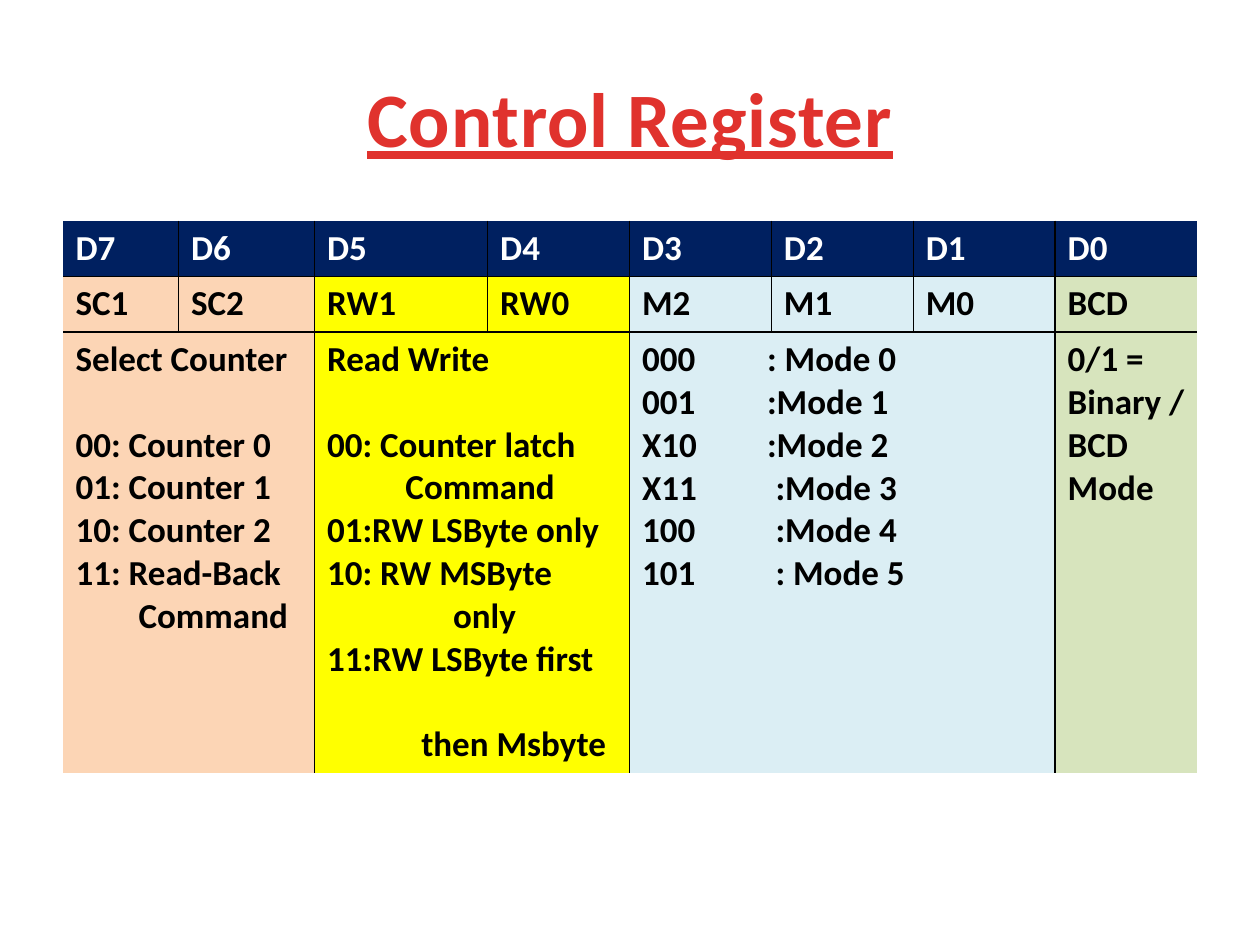
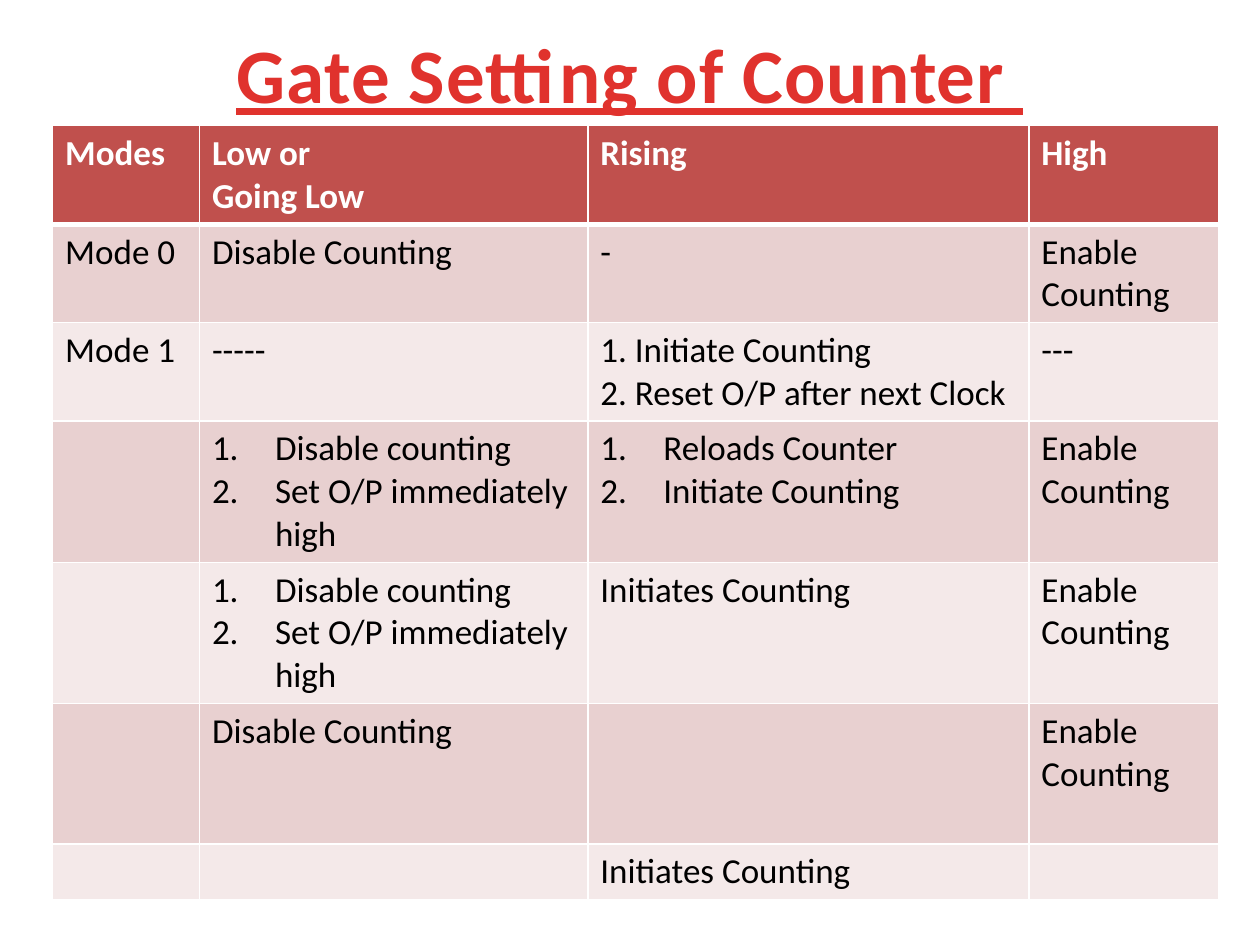
from dataclasses import dataclass
from lxml.etree import SubElement
from pptx import Presentation
from pptx.dml.color import RGBColor
from pptx.enum.text import MSO_ANCHOR, MSO_AUTO_SIZE, PP_ALIGN
from pptx.oxml.ns import qn
from pptx.util import Cm, Pt

FONT = "Calibri"
RED = RGBColor(0xE0, 0x32, 0x2D)
BLACK = RGBColor(0x00, 0x00, 0x00)
WHITE = RGBColor(0xFF, 0xFF, 0xFF)
NAVY = RGBColor(0x00, 0x20, 0x60)
PEACH = RGBColor(0xFC, 0xD5, 0xB5)
YELLOW = RGBColor(0xFF, 0xFF, 0x00)
SKY = RGBColor(0xDB, 0xEE, 0xF4)
SAGE = RGBColor(0xD7, 0xE4, 0xBD)
BRICK = RGBColor(0xC0, 0x50, 0x4D)
ROSE = RGBColor(0xE8, 0xD0, 0xD0)
BLUSH = RGBColor(0xF4, 0xE9, 0xE9)

TEXT_SIZE = Pt(20)
LINE_GAP = 24.4
LINE_HEIGHT = 0.86
CELL_PADDING = 0.25


@dataclass
class Line:
    text: str
    indent: float = 0
    before: float = 0
    after: float = 0
    tab: float = 0
    numbered: bool = False


def numbered(*texts):
    return [Line(text, indent=1.27, numbered=True) for text in texts]


BITS = ["D7", "D6", "D5", "D4", "D3", "D2", "D1", "D0"]
FIELDS = ["SC1", "SC2", "RW1", "RW0", "M2", "M1", "M0", "BCD"]
GROUPS = [
    (2, PEACH, [
        Line("Select Counter", after=LINE_GAP),
        "00: Counter 0", "01: Counter 1", "10: Counter 2", "11: Read-Back",
        Line("Command", indent=1.27),
    ]),
    (2, YELLOW, [
        Line("Read Write", after=LINE_GAP),
        "00: Counter latch", Line("Command", indent=1.58),
        "01:RW LSByte only", "10: RW MSByte", Line("only", indent=2.54),
        "11:RW LSByte first",
        Line("then Msbyte", indent=1.9, before=LINE_GAP),
    ]),
    (3, SKY, [
        Line("000\t: Mode 0", tab=2.52),
        Line("001\t:Mode 1", tab=2.52),
        Line("X10\t:Mode 2", tab=2.52),
        Line("X11\t:Mode 3", tab=2.69),
        Line("100\t:Mode 4", tab=2.69),
        Line("101\t: Mode 5", tab=2.69),
    ]),
    (1, SAGE, ["0/1 =", "Binary / BCD Mode"]),
]
REGISTER_WIDTHS = [2.33, 2.74, 3.49] + [2.86] * 5
REGISTER_LINES = [1, 1, 10]

ENABLE = ["Enable", "Counting"]
STOP_HIGH = numbered("Disable counting", "Set O/P immediately high")
GATE_ROWS = [
    [["Modes"], ["Low or", "Going Low"], ["Rising"], ["High"]],
    [["Mode 0"], ["Disable Counting"], ["-"], ENABLE],
    [["Mode 1"], ["-----"],
     ["1. Initiate Counting", "2. Reset O/P after next Clock"], ["---"]],
    [[], STOP_HIGH, numbered("Reloads Counter", "Initiate Counting"), ENABLE],
    [[], STOP_HIGH, ["Initiates Counting"], ENABLE],
    [[], ["Disable Counting"], [], ENABLE],
    [[], [], ["Initiates Counting"], []],
]
GATE_WIDTHS = [2.96, 7.83, 8.89, 3.81]
GATE_LINES = [2, 2, 2, 3, 3, 3, 1]


def style_span(span, size, color, bold):
    span.font.name = FONT
    span.font.size = size
    span.font.bold = bold
    span.font.color.rgb = color


def add_titled_page(deck, text, top, height):
    page = deck.slides.add_slide(deck.slide_layouts[5])
    title = page.shapes.title
    title.left, title.top, title.width, title.height = (
        Cm(1.27), Cm(top), Cm(22.86), Cm(height))
    frame = title.text_frame
    frame.auto_size = MSO_AUTO_SIZE.NONE
    frame.vertical_anchor = MSO_ANCHOR.MIDDLE
    para = frame.paragraphs[0]
    para.alignment = PP_ALIGN.CENTER
    span = para.add_run()
    span.text = text
    style_span(span, Pt(44), RED, True)
    span.font.underline = True
    span._r.get_or_add_rPr().set("spc", "50")
    return page


def add_table(page, left, top, widths, line_counts):
    heights = [LINE_HEIGHT * count + CELL_PADDING for count in line_counts]
    table = page.shapes.add_table(
        len(heights), len(widths), Cm(left), Cm(top),
        Cm(sum(widths)), Cm(sum(heights))).table
    for column, width in zip(table.columns, widths):
        column.width = Cm(width)
    for row, height in zip(table.rows, heights):
        row.height = Cm(height)
    return table


def set_inner_borders(table, color, header_width=1):
    last_row = len(table.rows) - 1
    last_column = len(table.columns) - 1
    for r in range(last_row + 1):
        for c in range(last_column + 1):
            properties = table.cell(r, c)._tc.get_or_add_tcPr()
            sides = [
                ("a:lnL", c > 0, 1),
                ("a:lnR", c < last_column, 1),
                ("a:lnT", r > 0, header_width if r == 1 else 1),
                ("a:lnB", r < last_row, header_width if r == 0 else 1),
            ]
            for tag, inner, width in sides:
                line = SubElement(properties, qn(tag), w=str(Pt(width)))
                if inner:
                    fill = SubElement(line, qn("a:solidFill"))
                    SubElement(fill, qn("a:srgbClr"), val=str(color))
                else:
                    SubElement(line, qn("a:noFill"))


def format_line(para, line):
    para.space_before = Pt(line.before)
    para.space_after = Pt(line.after)
    properties = para._p.get_or_add_pPr()
    if line.indent:
        properties.set("marL", str(Cm(line.indent)))
    if line.numbered:
        properties.set("indent", str(-Cm(line.indent)))
        SubElement(properties, qn("a:buAutoNum"), type="arabicPeriod")
    if line.tab:
        stops = SubElement(properties, qn("a:tabLst"))
        SubElement(stops, qn("a:tab"), pos=str(Cm(line.tab)), algn="l")


def fill_cell(cell, lines, fill, color=BLACK, bold=False):
    cell.fill.solid()
    cell.fill.fore_color.rgb = fill
    frame = cell.text_frame
    for index, item in enumerate(lines):
        line = item if isinstance(item, Line) else Line(item)
        para = frame.add_paragraph() if index else frame.paragraphs[0]
        format_line(para, line)
        span = para.add_run()
        span.text = line.text
        style_span(span, TEXT_SIZE, color, bold)


def build_control_register(deck):
    page = add_titled_page(deck, "Control Register", 0.76, 3.18)
    table = add_table(page, 1.27, 4.45, REGISTER_WIDTHS, REGISTER_LINES)
    set_inner_borders(table, BLACK)
    for c, bit in enumerate(BITS):
        fill_cell(table.cell(0, c), [bit], NAVY, WHITE, True)
    start = 0
    for count, fill, lines in GROUPS:
        end = start + count
        for c in range(start, end):
            fill_cell(table.cell(1, c), [FIELDS[c]], fill, bold=True)
        if count > 1:
            table.cell(2, start).merge(table.cell(2, end - 1))
        fill_cell(table.cell(2, start), lines, fill, bold=True)
        start = end


def build_gate_setting(deck):
    page = add_titled_page(deck, "Gate Setting of Counter ", 0.2, 2.54)
    table = add_table(page, 1.06, 2.54, GATE_WIDTHS, GATE_LINES)
    set_inner_borders(table, WHITE, header_width=3)
    for r, row in enumerate(GATE_ROWS):
        for c, lines in enumerate(row):
            if r == 0:
                fill_cell(table.cell(r, c), lines, BRICK, WHITE, True)
            else:
                fill_cell(table.cell(r, c), lines, ROSE if r % 2 else BLUSH)


def main():
    deck = Presentation()
    deck.slide_width, deck.slide_height = Cm(25.4), Cm(19.05)
    build_control_register(deck)
    build_gate_setting(deck)
    deck.save("out.pptx")


if __name__ == "__main__":
    main()
